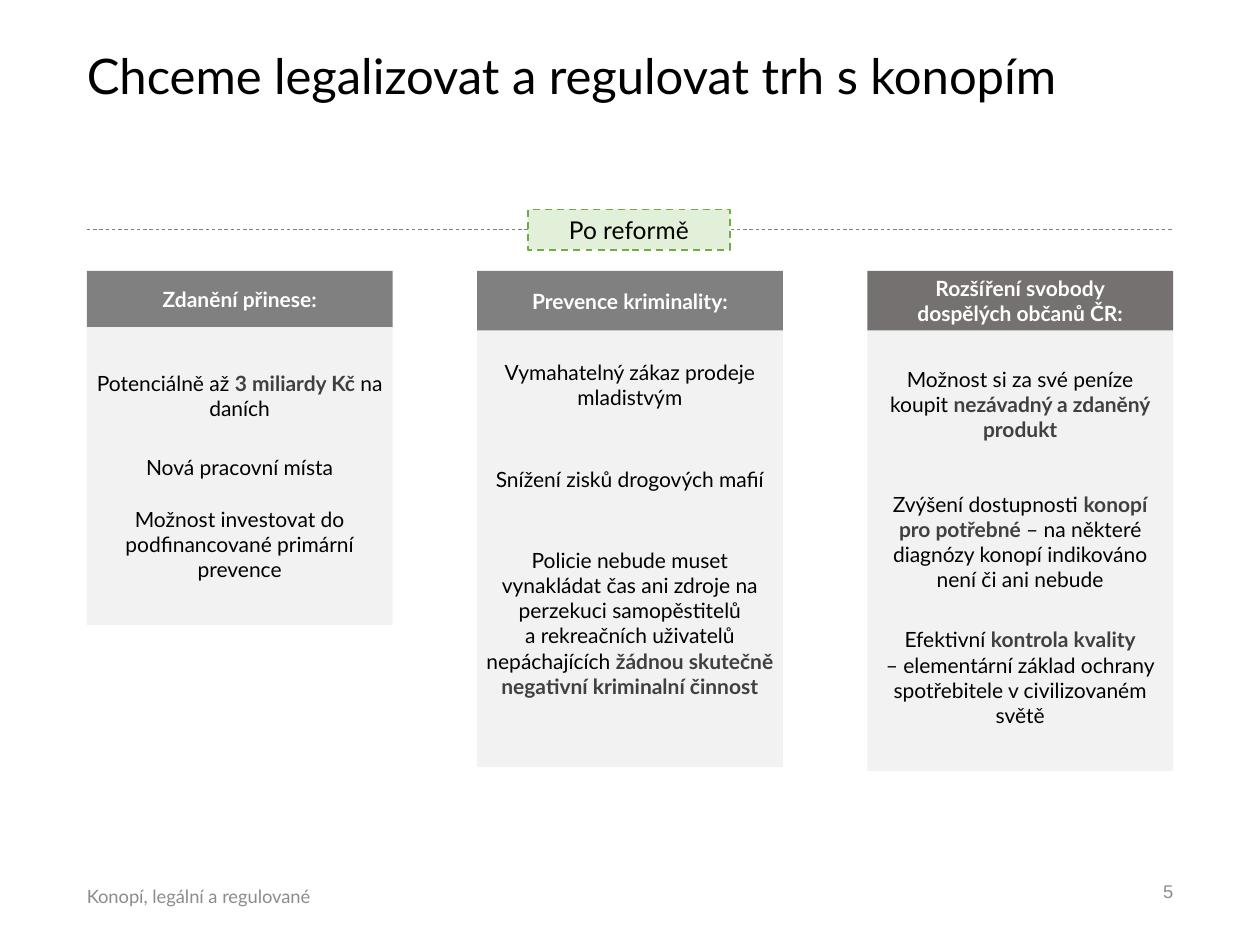
import pptx
import pptx.util
import pptx.dml.color
import pptx.enum.dml
import pptx.enum.shapes
import pptx.enum.text
import pptx.oxml.ns
from dataclasses import dataclass
from lxml import etree

Pt = pptx.util.Pt
ALIGN = pptx.enum.text.PP_ALIGN
ANCHOR = pptx.enum.text.MSO_ANCHOR


@dataclass(frozen=True)
class Theme:
    font: str = "Lato"
    number_font: str = "Arial"
    text: str = "000000"
    strong: str = "404040"
    muted: str = "8C8C8C"
    white: str = "FFFFFF"
    header: str = "808080"
    warm_header: str = "767171"
    panel: str = "F2F2F2"
    label_fill: str = "E2F0D9"
    label_line: str = "70AD47"
    title_size: float = 28
    label_size: float = 14
    body_size: float = 12
    footer_size: float = 10.5


class SlideBuilder:
    def __init__(self, slide, theme):
        self.slide = slide
        self.theme = theme

    def color(self, value):
        return pptx.dml.color.RGBColor.from_string(value)

    def fill_text(self, shape, runs, size, color, align, anchor, font=None):
        """Fill a shape with one paragraph of (text, bold) runs."""
        frame = shape.text_frame
        frame.word_wrap = True
        frame.vertical_anchor = anchor
        frame.margin_left = frame.margin_right = 0
        frame.margin_top = frame.margin_bottom = 0
        paragraph = frame.paragraphs[0]
        paragraph.alignment = align
        for text, bold in runs:
            run_color = self.theme.strong if bold and color == self.theme.text else color
            for index, line in enumerate(text.split("\n")):
                if index:
                    paragraph.add_line_break()
                if not line:
                    continue
                run = paragraph.add_run()
                run.text = line
                run.font.name = font or self.theme.font
                run.font.size = Pt(size)
                run.font.bold = bold
                run.font.color.rgb = self.color(run_color)

    def text(self, box, runs, size, color, align=ALIGN.CENTER, anchor=ANCHOR.MIDDLE, font=None):
        shape = self.slide.shapes.add_textbox(*map(Pt, box))
        self.fill_text(shape, runs, size, color, align, anchor, font)

    def rectangle(self, box, fill):
        shape = self.slide.shapes.add_shape(pptx.enum.shapes.MSO_SHAPE.RECTANGLE, *map(Pt, box))
        shape.shadow.inherit = False
        shape.fill.solid()
        shape.fill.fore_color.rgb = self.color(fill)
        shape.line.fill.background()
        return shape

    def dash(self, line, color, width):
        line.color.rgb = self.color(color)
        line.width = Pt(width)
        line.dash_style = pptx.enum.dml.MSO_LINE.DASH

    def divider(self, left, right, y):
        connector = self.slide.shapes.add_connector(
            pptx.enum.shapes.MSO_CONNECTOR.STRAIGHT, Pt(left), Pt(y), Pt(right), Pt(y))
        self.dash(connector.line, self.theme.header, 0.5)
        etree.SubElement(connector._element.spPr, pptx.oxml.ns.qn("a:effectLst"))

    def label(self, box, text):
        shape = self.rectangle(box, self.theme.label_fill)
        self.dash(shape.line, self.theme.label_line, 1)
        self.fill_text(shape, [(text, False)], self.theme.label_size, self.theme.text,
                       ALIGN.CENTER, ANCHOR.MIDDLE)

    def column(self, left, column):
        theme = self.theme
        top, bottom = column["panel"]
        self.rectangle((left, top, COLUMN_WIDTH, bottom - top), theme.panel)
        for y, height, runs in column["items"]:
            self.text((left + INSET, y, COLUMN_WIDTH - 2 * INSET, height), runs,
                      theme.body_size, theme.text, anchor=column["anchor"])
        header = self.rectangle((left, HEADER_TOP, COLUMN_WIDTH, column["header_height"]), column["color"])
        self.fill_text(header, [(column["header"], True)], theme.body_size, theme.white,
                       ALIGN.CENTER, ANCHOR.MIDDLE)


LEFT, RIGHT = 49.6, 670.4
COLUMN_WIDTH = 174.8
COLUMN_PITCH = (RIGHT - LEFT - COLUMN_WIDTH) / 2
INSET = 5.2
HEADER_TOP = 154.8

THEME = Theme()
# Item: top, height, runs of (text, bold)
COLUMNS = [
    dict(header="Zdanění přinese:", color=THEME.header, header_height=32,
         panel=(184.3, 357.2), anchor=ANCHOR.MIDDLE, items=[
             (213.4, 25.2, [("Potenciálně až ", False), ("3 miliardy Kč ", True), ("na daních", False)]),
             (254.2, 25.2, [("Nová pracovní místa", False)]),
             (298.4, 25.2, [("Možnost investovat do podfinancované primární prevence", False)])]),
    dict(header="Prevence kriminality:", color=THEME.header, header_height=34,
         panel=(185, 438.4), anchor=ANCHOR.MIDDLE, items=[
             (207, 25.2, [("Vymahatelný zákaz prodeje mladistvým", False)]),
             (261, 25.2, [("Snížení zisků drogových mafií", False)]),
             (298.4, 115.2, [("Policie nebude muset vynakládat čas ani zdroje na perzekuci samopěstitelů\n"
                              "a rekreačních uživatelů nepáchajících ", False),
                             ("žádnou skutečně negativní kriminalní činnost", True)])]),
    dict(header="Rozšíření svobody\ndospělých občanů ČR:", color=THEME.warm_header, header_height=34,
         panel=(187.2, 440.6), anchor=ANCHOR.TOP, items=[
             (209.5, 55.4, [("Možnost si za své peníze koupit ", False), ("nezávadný a zdaněný produkt", True)]),
             (280.8, 55.4, [("Zvýšení dostupnosti ", False), ("konopí pro potřebné ", True),
                            ("– na některé diagnózy konopí indikováno není či ani nebude", False)]),
             (358.2, 55.4, [("Efektivní ", False), ("kontrola kvality\n", True),
                            ("– elementární základ ochrany spotřebitele v civilizovaném světě", False)])]),
]


def main():
    presentation = pptx.Presentation()
    presentation.slide_width, presentation.slide_height = Pt(720), Pt(540)
    slide = presentation.slides.add_slide(presentation.slide_layouts[6])
    builder = SlideBuilder(slide, THEME)

    # Title
    builder.text((LEFT, 25.2, RIGHT - LEFT, 34.6), [("Chceme legalizovat a regulovat trh s konopím", False)],
                 THEME.title_size, THEME.text, ALIGN.LEFT, ANCHOR.BOTTOM)

    # Divider with its label
    builder.divider(LEFT, RIGHT, 131)
    builder.label((301.7, 119.7, 115.4, 23), "Po reformě")

    # Three columns of benefits
    for index, column in enumerate(COLUMNS):
        builder.column(LEFT + index * COLUMN_PITCH, column)

    # Footer and slide number
    builder.text((LEFT, 497.5, 360, 28.8), [("Konopí, legální a regulované", False)],
                 THEME.footer_size, THEME.muted, ALIGN.LEFT)
    builder.text((508.4, 494.8, 162, 28.8), [("5", False)],
                 THEME.footer_size, THEME.muted, ALIGN.RIGHT, font=THEME.number_font)

    presentation.save("out.pptx")


if __name__ == "__main__":
    main()
